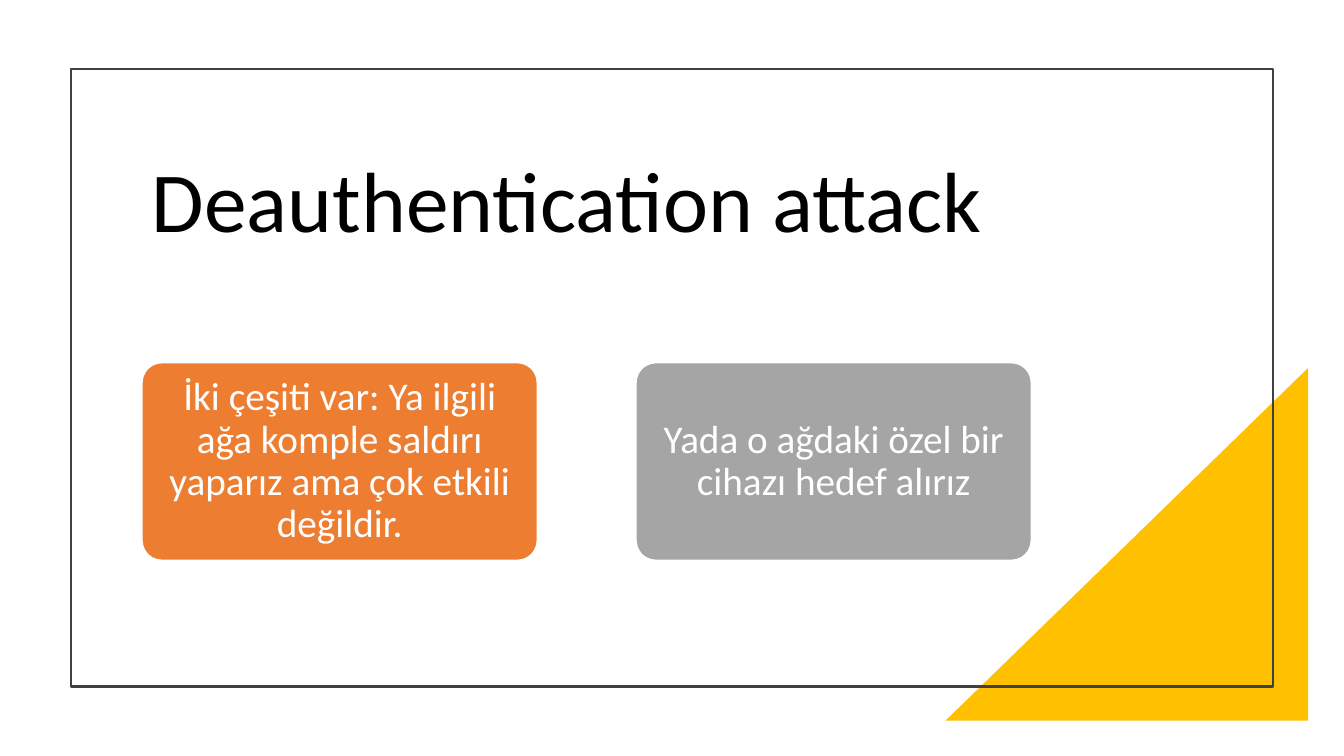
import pptx
import pptx.dml.color
import pptx.enum.shapes
import pptx.enum.text
import pptx.oxml.ns
import pptx.util

Cm = pptx.util.Cm
Shape = pptx.enum.shapes.MSO_SHAPE
Align = pptx.enum.text.PP_ALIGN

CARD_LEFT, CARD_TOP, CARD_WIDTH, CARD_HEIGHT = 3.58, 9.14, 9.96, 4.98
CARD_PITCH = 12.45
CARDS = [
    ("İki çeşiti var: Ya ilgili ağa komple saldırı yaparız ama çok etkili değildir.", "ED7D31"),
    ("Yada o ağdaki özel bir cihazı hedef alırız", "A5A5A5"),
]


def color(code):
    return pptx.dml.color.RGBColor.from_string(code)


def set_values(target, values):
    for name, value in values.items():
        setattr(target, name, value)


def place(box, left, top, width, height):
    set_values(box, {"left": Cm(left), "top": Cm(top),
                     "width": Cm(width), "height": Cm(height)})


def write(box, text, size, code, align, margins):
    frame = box.text_frame
    frame.text = text
    set_values(frame, {
        "word_wrap": True,
        "auto_size": pptx.enum.text.MSO_AUTO_SIZE.NONE,
        "vertical_anchor": pptx.enum.text.MSO_ANCHOR.MIDDLE,
        "margin_left": Cm(margins[0]), "margin_right": Cm(margins[0]),
        "margin_top": Cm(margins[1]), "margin_bottom": Cm(margins[1]),
    })
    para = frame.paragraphs[0]
    set_values(para, {"alignment": align, "line_spacing": 0.9})
    span = para.runs[0]
    set_values(span.font, {"name": "Calibri", "size": pptx.util.Pt(size)})
    span.font.color.rgb = color(code)


def add_box(page, kind, area, fill=None, line=None, line_width=1):
    box = page.shapes.add_shape(kind, *(Cm(length) for length in area))
    box.shadow.inherit = False
    if fill:
        box.fill.solid()
        box.fill.fore_color.rgb = color(fill)
    else:
        box.fill.background()
    if line:
        box.line.color.rgb = color(line)
        box.line.width = pptx.util.Pt(line_width)
    else:
        box.line.fill.background()
    return box


def flip_horizontally(box):
    transform = box.element.spPr.find(pptx.oxml.ns.qn("a:xfrm"))
    transform.set("flipH", "1")


def add_card(page, index, text, fill):
    area = (CARD_LEFT + index * CARD_PITCH, CARD_TOP, CARD_WIDTH, CARD_HEIGHT)
    card = add_box(page, Shape.ROUNDED_RECTANGLE, area, fill, "FFFFFF")
    card.adjustments[0] = 0.1
    write(card, text, 28, "FFFFFF", Align.CENTER, (0.15, 0.1))


def main():
    deck = pptx.Presentation()
    set_values(deck, {"slide_width": Cm(33.87), "slide_height": Cm(19.05)})
    page = deck.slides.add_slide(deck.slide_layouts[5])

    # Corner triangle and frame
    corner = add_box(page, Shape.RIGHT_TRIANGLE, (23.83, 9.27, 9.14, 8.89), "FFC000")
    flip_horizontally(corner)
    add_box(page, Shape.RECTANGLE, (1.78, 1.73, 30.3, 15.57), line="404040", line_width=1.5)

    # Title
    title = page.shapes.title
    place(title, 3.58, 2.92, 22.43, 4.5)
    write(title, "Deauthentication attack", 61, "000000", Align.LEFT, (0.25, 0.13))

    # Cards
    for index, (text, fill) in enumerate(CARDS):
        add_card(page, index, text, fill)

    deck.save("out.pptx")


if __name__ == "__main__":
    main()
